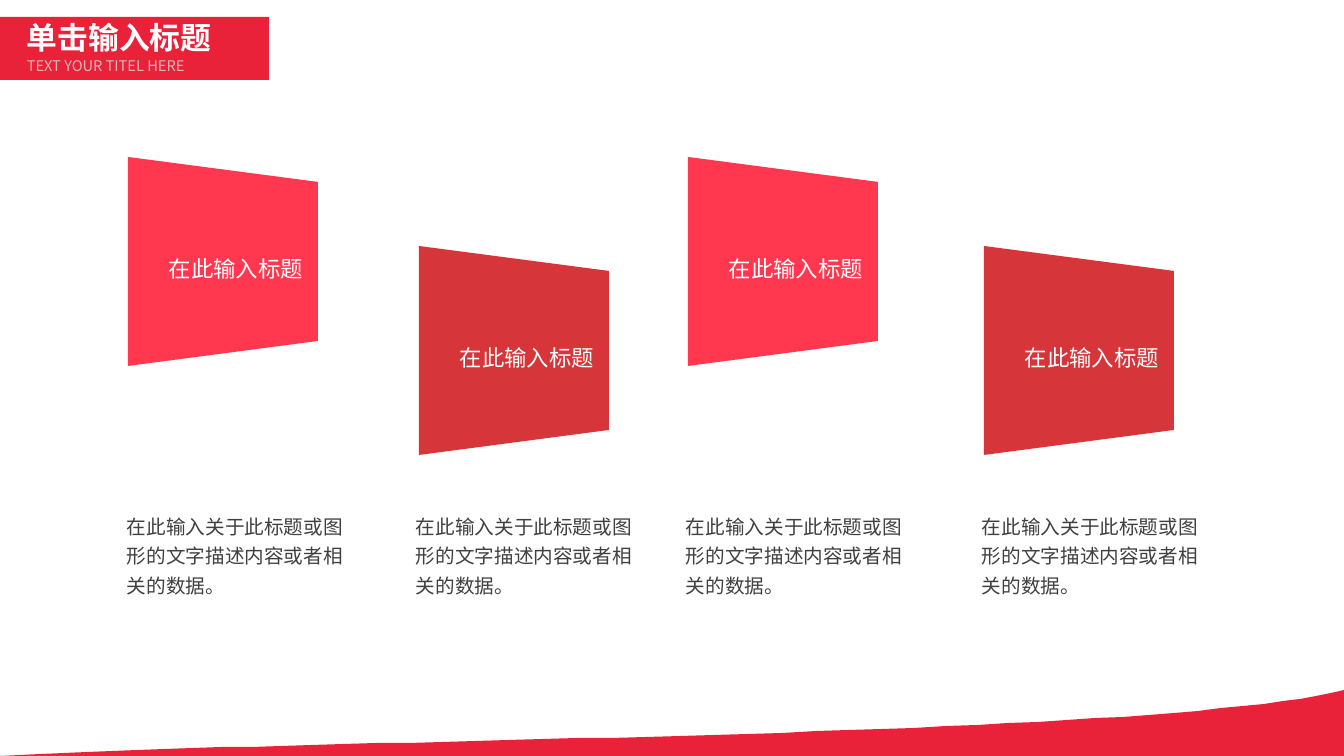
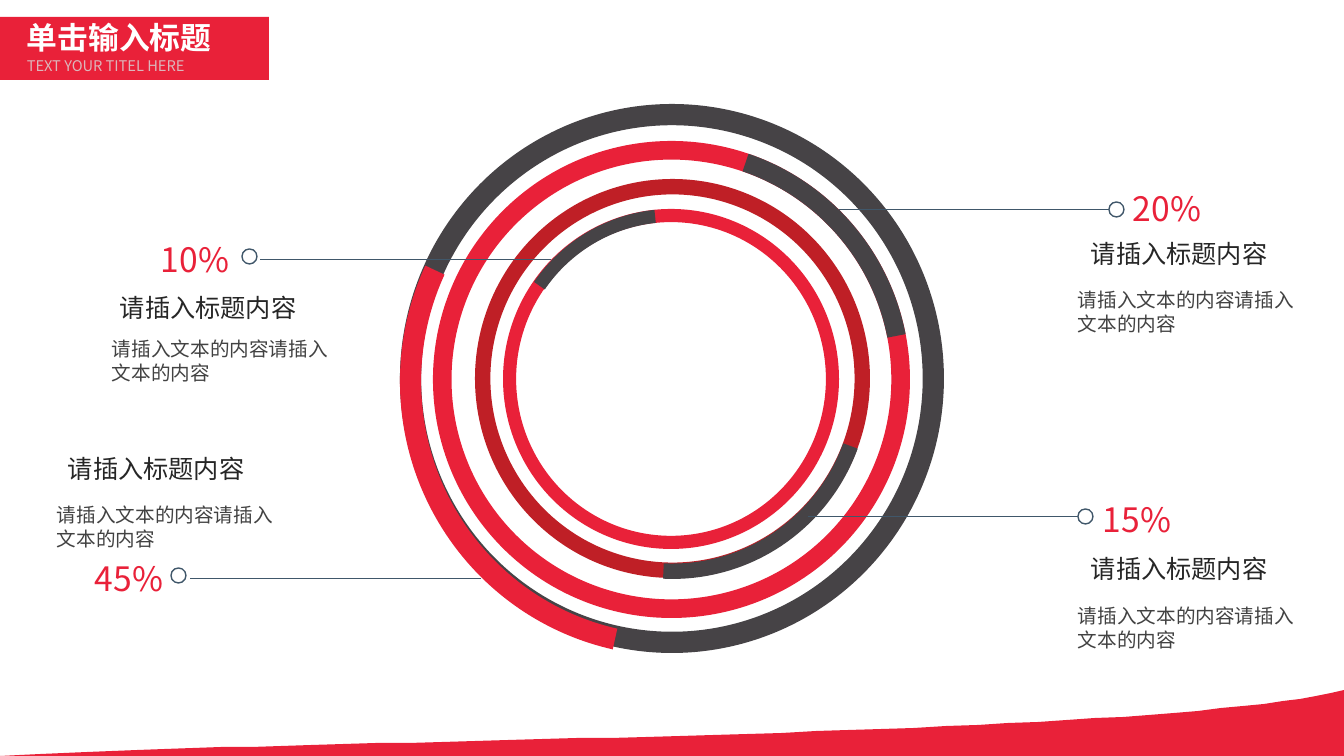
from lxml import etree
from pptx import Presentation
from pptx.dml.color import RGBColor
from pptx.enum.shapes import MSO_CONNECTOR as Link, MSO_SHAPE as Shape
from pptx.enum.text import MSO_ANCHOR as Anchor, MSO_AUTO_SIZE as Fit, PP_ALIGN as Align
from pptx.oxml.ns import qn
from pptx.util import Pt

# Shared look
WIDE, HIGH = 1344, 756
UNIT = 12192000 / WIDE
FONT = "Noto Sans CJK SC"
RED, DEEP, DARK, BLUE, WHITE = "E92139", "BF1F26", "464346", "40576A", "FFFFFF"
ROSE, BRICK = "FF384F", "D6353A"

LABEL = "在此输入标题"
STORY = "在此输入关于此标题或图形的文字描述内容或者相关的数据。"
HEAD = "请插入标题内容"
BODY = "请插入文本的内容请插入文本的内容"

# Panel left, panel top, colour, story left
PANELS = [
    (128, 157, ROSE, 117),
    (419, 246, BRICK, 406),
    (688, 157, ROSE, 676),
    (984, 246, BRICK, 972),
]
# Ring box, colour; arc shift, start and end in degrees, colour
RINGS = [
    ((433, 141, 477, 477), RED, (0, 0), 288.87, 349.04, DARK),
    ((400, 104, 544, 549), DARK, (0, 3), 102.46, 205.16, RED),
    ((475, 179, 395, 399), DEEP, (0, 1), 20.5, 92.7, DARK),
    ((503, 209, 336, 340), RED, (1, 0), 215.12, 264.08, DARK),
]
# Share; places of share, head, body and dot; line from, to and height
NOTES = [
    ("10%", (151, 234), (110, 287), (102, 332), (242, 249), (551, 260, 259)),
    ("45%", (85, 553), (58, 448), (47, 498), (171, 568), (481, 190, 578)),
    ("20%", (1123, 183), (1081, 233), (1068, 283), (1109, 202), (839, 1122, 209)),
    ("15%", (1093, 494), (1081, 548), (1068, 599), (1078, 509), (808, 1092, 516)),
]


def px(*nums):
    return [round(num * UNIT) for num in nums]


def tint(text):
    return RGBColor.from_string(text)


def paint(shape, fill, line=None):
    shape.shadow.inherit = False
    shape.fill.solid()
    shape.fill.fore_color.rgb = tint(fill)
    if line:
        shape.line.color.rgb = tint(line)
        shape.line.width = Pt(1)
    else:
        shape.line.fill.background()
    return shape


def block(shapes, kind, box, fill, line=None):
    return paint(shapes.add_shape(kind, *px(*box)), fill, line)


def outline(shapes, dots, fill):
    pen = shapes.build_freeform(*dots[0], scale=UNIT)
    pen.add_line_segments(dots[1:], close=True)
    return paint(pen.convert_to_shape(), fill)


def write(frame, text, size, ink, bold=False, space=None):
    frame.text = text
    para = frame.paragraphs[0]
    if space:
        para.line_spacing = space
    run = para.runs[0]
    run.font.size, run.font.bold, run.font.name = Pt(size), bold, FONT
    run.font.color.rgb = tint(ink)
    etree.SubElement(run.font._element, qn("a:ea"), typeface=FONT)
    return run


def words(shapes, box, text, size, ink, wrap=True, **style):
    frame = shapes.add_textbox(*px(*box)).text_frame
    frame.word_wrap = wrap
    frame.auto_size = Fit.SHAPE_TO_FIT_TEXT
    return write(frame, text, size, ink, **style)


def curve(ends, steps=48):
    """Points along a cubic curve."""
    dots = []
    for step in range(steps + 1):
        t = step / steps
        parts = ((1 - t) ** 3, 3 * t * (1 - t) ** 2, 3 * t * t * (1 - t), t ** 3)
        dots.append(tuple(sum(p * end[i] for p, end in zip(parts, ends)) for i in (0, 1)))
    return dots


def base(deck):
    """New slide with title band and bottom wave."""
    shapes = deck.slides.add_slide(deck.slide_layouts[6]).shapes
    block(shapes, Shape.RECTANGLE, (0, 17, 269, 63), RED)
    run = words(shapes, (17, 52, 207, 28), "TEXT YOUR TITEL HERE", 10.5, "D9D9D9")
    shade = run.font._element.find(".//" + qn("a:srgbClr"))
    etree.SubElement(shade, qn("a:alpha"), val="82000")
    words(shapes, (17, 14, 207, 47), "单击输入标题", 22, WHITE, wrap=False, bold=True)
    wave = curve([(WIDE, 690), (1150, 739), (307, 738), (0, HIGH)])
    outline(shapes, [(WIDE, HIGH)] + wave, RED)
    return shapes


def panel(shapes, x, y, fill, left):
    wide, high, slant = 190, 209, 25
    dots = [(x, y), (x + wide, y + slant), (x + wide, y + high - slant), (x, y + high)]
    frame = outline(shapes, dots, fill).text_frame
    frame.word_wrap = True
    frame.vertical_anchor = Anchor.MIDDLE
    frame.margin_left, frame.margin_right = px(36, 10)
    write(frame, LABEL, 16, WHITE, space=1.5)
    frame.paragraphs[0].alignment = Align.CENTER
    words(shapes, (left, 504, 249, 95), STORY, 14, "404040", space=1.25)


def ring(shapes, box, fill, shift, start, end, mark):
    x, y, wide, high = box
    band = 0.039
    block(shapes, Shape.DONUT, box, fill).adjustments[0] = band
    place = (x + shift[0], y + shift[1], wide, high)
    arc = block(shapes, Shape.BLOCK_ARC, place, mark)
    # Angles count 60000 to a degree, adjustments 100000 to one
    for i, val in enumerate((start * 0.6, end * 0.6, band)):
        arc.adjustments[i] = val


def rule(shapes, start, end, y):
    line = shapes.add_connector(Link.STRAIGHT, *px(start, y, end, y))
    line.line.color.rgb = tint(BLUE)
    line.line.width = Pt(0.5)
    etree.SubElement(line._element.spPr, qn("a:effectLst"))


def note(shapes, share, spot, head, body, dot, line):
    group = shapes.add_group_shape().shapes
    rule(group, *line)
    block(group, Shape.OVAL, (*dot, 15, 15), WHITE, BLUE)
    words(group, (*spot, 89, 50), share, 24, RED, wrap=False)
    words(group, (*head, 199, 40), HEAD, 18, "262626", wrap=False)
    words(group, (*body, 250, 57), BODY, 14, "424242")


def main():
    deck = Presentation()
    deck.slide_width, deck.slide_height = px(WIDE, HIGH)

    # Four panels
    shapes = base(deck)
    for item in PANELS:
        panel(shapes, *item)

    # Rings with notes
    shapes = base(deck)
    for item in RINGS:
        ring(shapes, *item)
    for item in NOTES:
        note(shapes, *item)

    deck.save("out.pptx")


if __name__ == "__main__":
    main()
